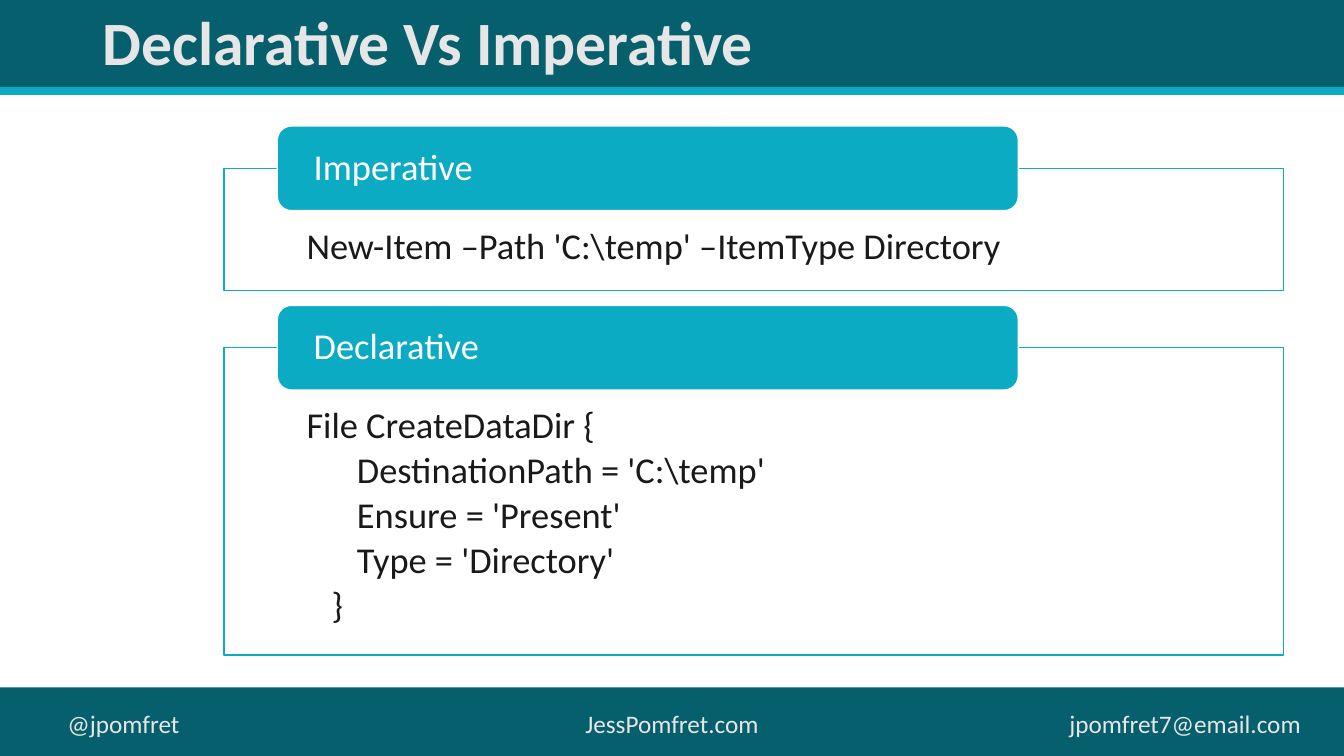
from pptx import Presentation
from pptx.dml.color import RGBColor
from pptx.enum import shapes, text
from pptx.oxml import ns
from pptx import util as u
from lxml import etree

THEME = {
    "font": "Calibri",
    "dark": "065F6D", "accent": "0BABC4", "white": "FFFFFF",
    "pale": "E7E6E6", "ink": "191919",
    "title": 44, "body": 26, "footer": 18,
}
ALIGN, ANCHOR = text.PP_ALIGN, text.MSO_ANCHOR
SHAPE = shapes.MSO_SHAPE


def add_box(kind, at, fill, line=None):
    sp = s.shapes.add_shape(kind, *map(u.Inches, at))
    sp.shadow.inherit = False
    sp.fill.solid()
    sp.fill.fore_color.rgb = RGBColor.from_string(THEME[fill])
    if line:
        sp.line.color.rgb = RGBColor.from_string(THEME[line])
        sp.line.width = u.Pt(1)
    else:
        sp.line.fill.background()
    return sp


def write(sp, lines, size, color, bold=False, align=ALIGN.LEFT, frame=None, para=None):
    """Fill a shape with (text, left indent in inches) lines."""
    tf = sp.text_frame
    for name, value in {"word_wrap": True, **(frame or {})}.items():
        setattr(tf, name, value)
    for i, (line, indent) in enumerate(lines):
        p = tf.add_paragraph() if i else tf.paragraphs[0]
        for name, value in {"alignment": align, **(para or {})}.items():
            setattr(p, name, value)
        if indent:
            p._p.get_or_add_pPr().set("marL", str(u.Inches(indent)))
        r = p.add_run()
        r.text = line
        for name, value in {"name": THEME["font"], "size": u.Pt(THEME[size]), "bold": bold}.items():
            setattr(r.font, name, value)
        r.font.color.rgb = RGBColor.from_string(THEME[color])


prs = Presentation()
prs.slide_width, prs.slide_height = u.Inches(13.33), u.Inches(7.5)
s = prs.slides.add_slide(prs.slide_layouts[5])

# Header and footer bands
add_box(SHAPE.RECTANGLE, (0, 0, 13.33, 0.9), "dark")
add_box(SHAPE.RECTANGLE, (0, 6.82, 13.33, 0.68), "dark")
rule = s.shapes.add_connector(shapes.MSO_CONNECTOR.STRAIGHT, 0, u.Inches(0.9),
                              prs.slide_width, u.Inches(0.9))
rule.line.color.rgb = RGBColor.from_string(THEME["accent"])
rule.line.width = u.Pt(6)
etree.SubElement(rule.element.spPr, ns.qn("a:effectLst"))

# Footer contacts
for contact, left, width, align in (
    ("@jpomfret", 0.57, 1.55, ALIGN.LEFT),
    ("JessPomfret.com", 5.65, 2.03, ALIGN.CENTER),
    ("jpomfret7@email.com", 9.62, 3.38, ALIGN.RIGHT),
):
    sp = s.shapes.add_textbox(*map(u.Inches, (left, 6.98, width, 0.4)))
    write(sp, [(contact, 0)], "footer", "pale", align=align)

# Title, brought in front of the header band
title = s.shapes.title
title.left, title.top, title.width, title.height = map(u.Inches, (0.92, 0, 11.5, 0.9))
write(title, [("Declarative Vs Imperative", 0)], "title", "pale", bold=True,
      frame={"vertical_anchor": ANCHOR.MIDDLE, "auto_size": text.MSO_AUTO_SIZE.NONE},
      para={"line_spacing": 0.9})
title.element.getparent().append(title.element)

# Code panels, each with a heading tab over its top edge
code_frame = {"vertical_anchor": ANCHOR.TOP, "margin_left": u.Inches(0.82),
              "margin_right": u.Inches(0.82), "margin_top": u.Inches(0.59),
              "margin_bottom": u.Inches(0.2)}
tab_frame = {"vertical_anchor": ANCHOR.MIDDLE, "margin_left": u.Inches(0.32),
             "margin_right": u.Inches(0.32), "margin_top": 0, "margin_bottom": 0}
panels = (
    ("Imperative", 1.67, 1.21, [("New-Item –Path 'C:\\temp' –ItemType Directory", 0)]),
    ("Declarative", 3.45, 3.05, [
        ("File CreateDataDir {", 0),
        ("DestinationPath = 'C:\\temp'", 0.5),
        ("Ensure = 'Present'", 0.5),
        ("Type = 'Directory'", 0.5),
        ("}", 0.25),
    ]),
)
for heading, top, height, code in panels:
    panel = add_box(SHAPE.RECTANGLE, (2.22, top, 10.51, height), "white", "accent")
    write(panel, code, "body", "ink", frame=code_frame,
          para={"line_spacing": 0.9, "space_after": u.Pt(4)})
    tab = add_box(SHAPE.ROUNDED_RECTANGLE, (2.75, top - 0.42, 7.35, 0.84), "accent", "white")
    write(tab, [(heading, 0)], "body", "white", frame=tab_frame, para={"line_spacing": 0.9})

prs.save("out.pptx")
